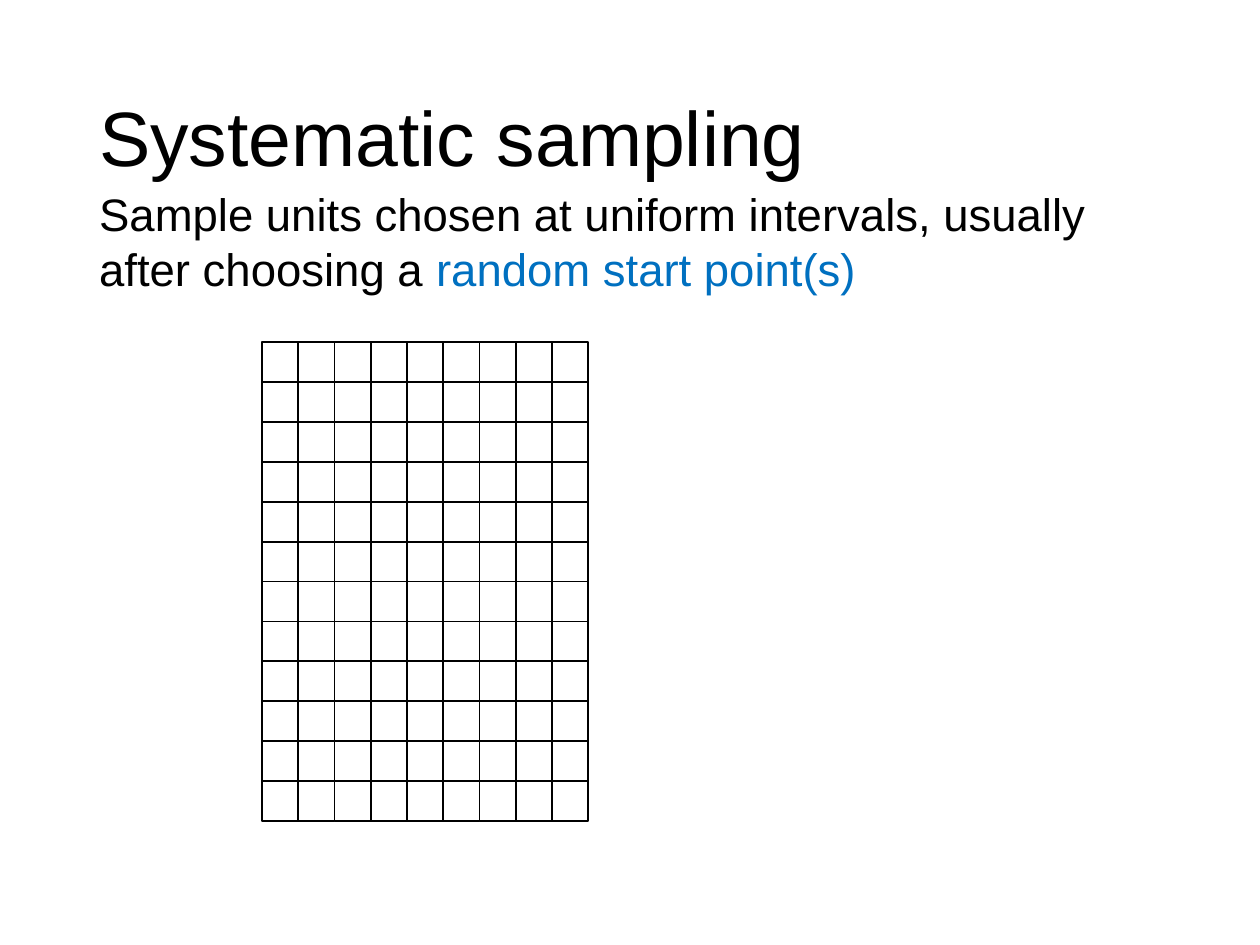
from pptx import Presentation
from pptx.dml.color import RGBColor
from pptx.enum.shapes import MSO_SHAPE
from pptx.enum.text import MSO_ANCHOR
from pptx.util import Cm, Pt

COLOURS = {"ink": "000000", "accent": "0070C0"}
FONT = "Arial"
GRID_COLUMNS, GRID_ROWS = 9, 12


def colour(name):
    return RGBColor.from_string(COLOURS[name])


def add_paragraph_box(slide, box, size, anchor):
    """Add a wrapped text box and return its styled, empty paragraph."""
    frame = slide.shapes.add_textbox(*box).text_frame
    frame.word_wrap = True
    frame.vertical_anchor = anchor
    paragraph = frame.paragraphs[0]
    paragraph.font.name = FONT
    paragraph.font.size = Pt(size)
    return paragraph


def add_title(slide, box):
    title = add_paragraph_box(slide, box, 44, MSO_ANCHOR.MIDDLE)
    title.line_spacing = 0.9
    title.font.color.rgb = colour("ink")
    title.add_run().text = "Systematic sampling"


def add_definition(slide, box):
    definition = add_paragraph_box(slide, box, 26, MSO_ANCHOR.TOP)
    definition.space_after = Pt(18)
    for text, tint in (
        ("Sample units chosen at uniform intervals, usually after choosing a ", "ink"),
        ("random start point(s)", "accent"),
    ):
        run = definition.add_run()
        run.text = text
        run.font.color.rgb = colour(tint)


def add_sampling_grid(slide, box):
    """Fill the box with equal, unfilled sample units in one group."""
    left, top, width, height = box
    unit_width, unit_height = width / GRID_COLUMNS, height / GRID_ROWS
    grid = slide.shapes.add_group_shape()
    for row in range(GRID_ROWS):
        for column in range(GRID_COLUMNS):
            unit = grid.shapes.add_shape(
                MSO_SHAPE.RECTANGLE,
                round(left + column * unit_width),
                round(top + row * unit_height),
                round(unit_width),
                round(unit_height),
            )
            unit.shadow.inherit = False
            unit.fill.background()
            unit.line.color.rgb = colour("ink")
            unit.line.width = Pt(1)


def main():
    presentation = Presentation()
    presentation.slide_width, presentation.slide_height = Cm(25.4), Cm(19.05)
    slide = presentation.slides.add_slide(presentation.slide_layouts[6])
    add_sampling_grid(slide, (Cm(5.28), Cm(6.9), Cm(6.58), Cm(9.65)))
    add_title(slide, (Cm(1.75), Cm(1.02), Cm(21.9), Cm(3.68)))
    add_definition(slide, (Cm(1.75), Cm(3.63), Cm(21.92), Cm(2.49)))
    presentation.save("out.pptx")


if __name__ == "__main__":
    main()
